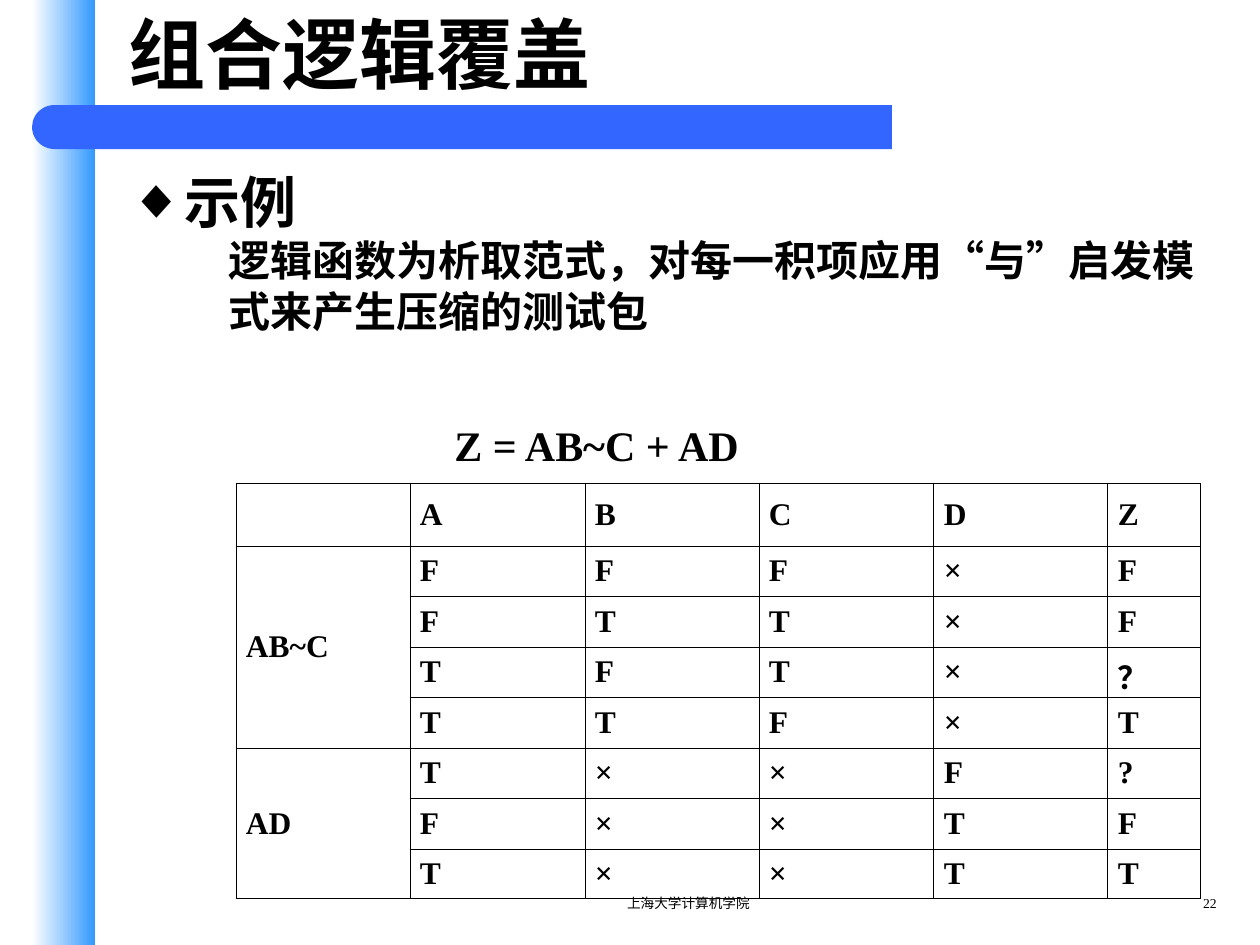
from dataclasses import dataclass

from lxml import etree
from pptx import Presentation
from pptx import util as u
from pptx.dml.color import RGBColor
from pptx.enum import lang, shapes, text
from pptx.oxml import ns

SCALE = u.Inches(1) / 126
SERIF, HEAD, HAN = "Times New Roman", "TeX Gyre Pagella", "Noto Sans CJK SC"
LEFT, MID, RIGHT, FULL = (text.PP_ALIGN.LEFT, text.PP_ALIGN.CENTER,
                          text.PP_ALIGN.RIGHT, text.PP_ALIGN.JUSTIFY)
COLS = (174, 175, 174, 175, 174, 93)
ROWS = (63, 50, 51, 50, 51, 50, 51, 50)
GRID = (
    ("", "A", "B", "C", "D", "Z"),
    ("AB~C", "F", "F", "F", "×", "F"),
    ("", "F", "T", "T", "×", "F"),
    ("", "T", "F", "T", "×", "？"),
    ("", "T", "T", "F", "×", "T"),
    ("AD", "T", "×", "×", "F", "?"),
    ("", "F", "×", "×", "T", "F"),
    ("", "T", "×", "×", "T", "T"),
)
SPANS = ((1, 4), (5, 7))


@dataclass
class Box:
    x: int
    y: int
    w: int
    h: int

    def emu(self) -> tuple:
        return tuple(px(n) for n in (self.x, self.y, self.w, self.h))


@dataclass
class Style:
    size: float
    face: str = SERIF
    bold: bool = True
    align: int = LEFT
    space: float = 1.0


@dataclass
class Note:
    box: Box
    words: str
    style: Style
    wrap: bool = True


NOTES = (
    Note(Box(473, 892, 431, 32), "上海大学计算机学院", Style(7.8, SERIF, False, MID, 0.8)),
    Note(Box(1134, 892, 95, 32), "22", Style(7.8, SERIF, False, RIGHT, 0.8)),
    Note(Box(442, 413, 314, 63), "Z = AB~C + AD", Style(24), False),
)


def px(n: int) -> int:
    return u.Emu(round(n * SCALE))


def tint(code: str) -> RGBColor:
    return RGBColor.from_string(code)


def put(para, words: str, style: Style) -> None:
    para.alignment = style.align
    para.line_spacing = style.space
    para.space_before = para.space_after = u.Pt(0)
    run = para.add_run()
    run.text = words
    font = run.font
    font.size, font.name, font.bold = u.Pt(style.size), style.face, style.bold
    font.color.rgb = tint("000000")
    font.language_id = lang.MSO_LANGUAGE_ID.SIMPLIFIED_CHINESE
    east = etree.Element(ns.qn("a:ea"), typeface=HAN)
    font._element.find(ns.qn("a:latin")).addnext(east)


def mark(para, left: int, hang: int, sign: str = "") -> None:
    """Set the indent and the bullet; no sign means no bullet."""
    props = para._p.get_or_add_pPr()
    props.set("marL", str(px(left)))
    props.set("indent", str(px(-hang)))
    if sign:
        hue = etree.SubElement(props, ns.qn("a:buClr"))
        etree.SubElement(hue, ns.qn("a:srgbClr"), val="000000")
        etree.SubElement(props, ns.qn("a:buChar"), char=sign)
    else:
        etree.SubElement(props, ns.qn("a:buNone"))


def block(slide, kind: int, box: Box):
    shape = slide.shapes.add_shape(kind, *box.emu())
    shape.shadow.inherit = False
    shape.line.fill.background()
    return shape


def decor(slide) -> None:
    kinds = shapes.MSO_SHAPE
    band = block(slide, kinds.RECTANGLE, Box(32, 0, 63, 945))
    band.fill.gradient()
    band.fill.gradient_angle = 0
    for stop, code in zip(band.fill.gradient_stops, ("FFFFFF", "3399FF")):
        stop.color.rgb = tint(code)
    bar = block(slide, kinds.ROUNDED_RECTANGLE, Box(76, 105, 816, 44))
    bar.adjustments[0] = 0
    cap = block(slide, kinds.FLOWCHART_DELAY, Box(32, 105, 45, 44))
    cap.rotation = 180
    for part in (bar, cap):
        part.fill.solid()
        part.fill.fore_color.rgb = tint("3366FF")


def place(shape, box: Box, anchor: int):
    shape.left, shape.top, shape.width, shape.height = box.emu()
    frame = shape.text_frame
    frame.auto_size = text.MSO_AUTO_SIZE.NONE
    frame.vertical_anchor = anchor
    frame.word_wrap = True
    return frame


def label(slide, note: Note) -> None:
    frame = slide.shapes.add_textbox(*note.box.emu()).text_frame
    frame.word_wrap = note.wrap
    put(frame.paragraphs[0], note.words, note.style)


def edge(cell) -> None:
    props = cell._tc.get_or_add_tcPr()
    for side in "LRTB":
        line = etree.SubElement(props, ns.qn(f"a:ln{side}"), w=str(u.Pt(0.45)))
        fill = etree.SubElement(line, ns.qn("a:solidFill"))
        etree.SubElement(fill, ns.qn("a:srgbClr"), val="000000")


def truth(slide, box: Box) -> None:
    table = slide.shapes.add_table(len(ROWS), len(COLS), *box.emu()).table
    table.first_row = table.horz_banding = False
    for col, wide in zip(table.columns, COLS):
        col.width = px(wide)
    for row, high in zip(table.rows, ROWS):
        row.height = px(high)
    style = Style(18, align=FULL)
    for r, line in enumerate(GRID):
        for c, words in enumerate(line):
            cell = table.cell(r, c)
            edge(cell)
            cell.fill.background()
            cell.vertical_anchor = text.MSO_ANCHOR.MIDDLE
            cell.margin_left = cell.margin_right = px(10)
            cell.margin_top = cell.margin_bottom = px(6)
            if words:
                put(cell.text_frame.paragraphs[0], words, style)
    for first, last in SPANS:
        table.cell(first, 0).merge(table.cell(last, 0))


def main() -> None:
    deck = Presentation()
    deck.slide_width, deck.slide_height = px(1260), px(945)
    slide = deck.slides.add_slide(deck.slide_layouts[1])
    decor(slide)

    title = place(slide.shapes.title, Box(116, 0, 1092, 105), text.MSO_ANCHOR.MIDDLE)
    put(title.paragraphs[0], "组合逻辑覆盖", Style(44, HEAD))

    body = place(slide.placeholders[1], Box(116, 148, 1124, 235), text.MSO_ANCHOR.TOP)
    topic = body.paragraphs[0]
    mark(topic, 48, 48, "◆")
    put(topic, "示例", Style(32, HEAD, space=1.2))
    rule = body.add_paragraph()
    rule.level = 1
    mark(rule, 100, 0)
    put(rule, "逻辑函数为析取范式，对每一积项应用“与”启发模式来产生压缩的测试包", Style(24, HAN))

    for note in NOTES:
        label(slide, note)
    truth(slide, Box(236, 483, sum(COLS), sum(ROWS)))
    deck.save("out.pptx")


if __name__ == "__main__":
    main()
